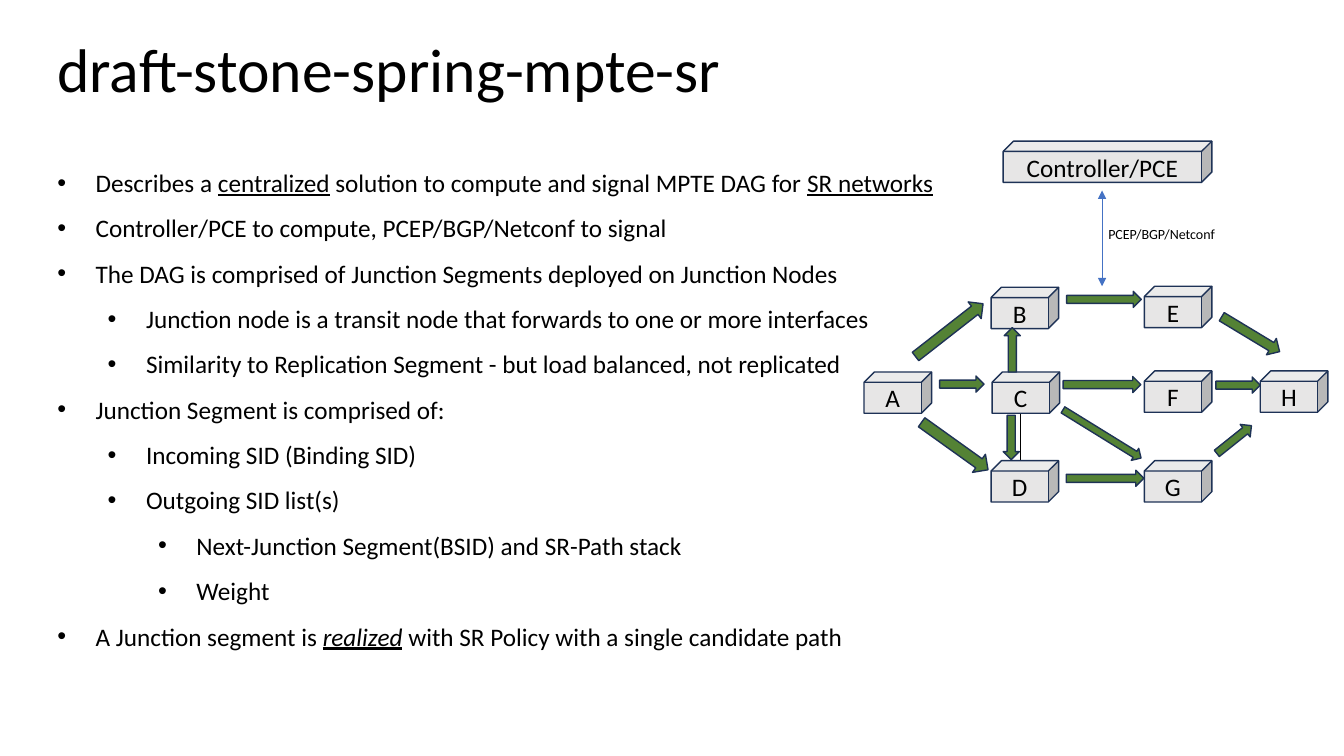
import dataclasses

import lxml.etree
import pptx
import pptx.dml.color
import pptx.enum.shapes
import pptx.enum.text
import pptx.oxml.ns
import pptx.util

PX = 9144
SHAPES = pptx.enum.shapes.MSO_SHAPE
ALIGN = pptx.enum.text.PP_ALIGN
ANCHOR = pptx.enum.text.MSO_ANCHOR
AUTO = pptx.enum.text.MSO_AUTO_SIZE


@dataclasses.dataclass(frozen=True)
class Theme:
    font: str = "Calibri"
    bullet_font: str = "Arial"
    text: str = "000000"
    node: str = "E7E6E6"
    arrow: str = "548235"
    outline: str = "1E3256"
    signal: str = "4472C4"
    title_pt: int = 44
    body_pt: int = 18
    label_pt: int = 10
    outline_pt: float = 1
    thin_pt: float = 0.5


def px(*lengths):
    return [pptx.util.Emu(n * PX) for n in lengths]


def rgb(color):
    return pptx.dml.color.RGBColor.from_string(color)


def add_xml(parent, tag, **attrs):
    return lxml.etree.SubElement(parent, pptx.oxml.ns.qn(tag), attrs)


class Deck:
    """Draws themed elements on the current slide, with lengths in px."""

    def __init__(self, theme):
        self.theme = theme
        self.prs = pptx.Presentation()
        self.prs.slide_width, self.prs.slide_height = px(1333, 750)
        self.slide = self.prs.slides.add_slide(self.prs.slide_layouts[6])

    def style(self, p, size, align=None, spacing=None):
        p.alignment = align
        p.line_spacing = spacing
        p.font.name = self.theme.font
        p.font.size = pptx.util.Pt(size)
        p.font.color.rgb = rgb(self.theme.text)

    def frame(self, box, anchor, grow):
        tf = self.slide.shapes.add_textbox(*px(*box)).text_frame
        tf.word_wrap = True
        tf.vertical_anchor = anchor
        tf.auto_size = AUTO.SHAPE_TO_FIT_TEXT if grow else AUTO.NONE
        return tf

    def text(self, box, text, size, anchor=ANCHOR.TOP, align=None,
             spacing=None, grow=False):
        p = self.frame(box, anchor, grow).paragraphs[0]
        p.text = text
        self.style(p, size, align, spacing)

    def bullets(self, box, items):
        tf = self.frame(box, ANCHOR.TOP, True)
        for i, (level, runs) in enumerate(items):
            p = tf.add_paragraph() if i else tf.paragraphs[0]
            p.level = level
            left, hang = px(38 + 50 * level, -38)
            pPr = p._p.get_or_add_pPr()
            pPr.set("marL", str(left))
            pPr.set("indent", str(hang))
            add_xml(pPr, "a:buFont", typeface=self.theme.bullet_font)
            add_xml(pPr, "a:buChar", char="•")
            self.style(p, self.theme.body_pt, spacing=1.5)
            for text, marks in runs:
                r = p.add_run()
                r.text = text
                if "u" in marks:
                    r.font.underline = True
                if "i" in marks:
                    r.font.italic = True

    def shape(self, kind, box, fill):
        sp = self.slide.shapes.add_shape(kind, *px(*box))
        sp.shadow.inherit = False
        sp.fill.solid()
        sp.fill.fore_color.rgb = rgb(fill)
        sp.line.color.rgb = rgb(self.theme.outline)
        sp.line.width = pptx.util.Pt(self.theme.outline_pt)
        return sp

    def node(self, name, box):
        tf = self.shape(SHAPES.CUBE, box, self.theme.node).text_frame
        tf.word_wrap = True
        tf.vertical_anchor = ANCHOR.MIDDLE
        p = tf.paragraphs[0]
        p.text = name
        self.style(p, self.theme.body_pt, ALIGN.CENTER)

    def arrow(self, box, rotation):
        self.shape(SHAPES.DOWN_ARROW, box, self.theme.arrow).rotation = rotation

    def line(self, ends, color, heads=False):
        cxn = self.slide.shapes.add_connector(
            pptx.enum.shapes.MSO_CONNECTOR.STRAIGHT, *px(*ends))
        cxn.line.color.rgb = rgb(color)
        cxn.line.width = pptx.util.Pt(self.theme.thin_pt)
        spPr = cxn.element.spPr
        if heads:
            ln = spPr.find(pptx.oxml.ns.qn("a:ln"))
            for tag in ("a:headEnd", "a:tailEnd"):
                add_xml(ln, tag, type="triangle")
        add_xml(spPr, "a:effectLst")


NODES = {
    "B": (983, 285), "C": (984, 369), "A": (857, 369), "D": (983, 457),
    "G": (1135, 457), "E": (1135, 284), "F": (1135, 368), "H": (1250, 368),
}

ARROWS = [
    ((1085, 343, 16, 77), 270),
    ((1220, 360, 16, 44), 270),
    ((946, 359, 16, 44), 270),
    ((931, 285, 21, 85), 232),
    ((1087, 260, 16, 74), 270),
    ((1231, 298, 19, 67), 301.1),
    ((1088, 436, 16, 77), 270),
    ((1216, 414, 16, 44), 231.3),
    ((936, 402, 22, 81), 305.6),
    ((995, 412, 16, 44), 0),
    ((1086, 385, 14, 91), 301.7),
    ((996, 325, 16, 44), 180),
]

BULLETS = [
    (0, [("Describes a ", ""), ("centralized", "u"),
         (" solution to compute and signal MPTE DAG for ", ""),
         ("SR networks", "u")]),
    (0, [("Controller/PCE to compute, PCEP/BGP/Netconf to signal", "")]),
    (0, [("The DAG is comprised of Junction Segments deployed on Junction Nodes", "")]),
    (1, [("Junction node is a transit node that forwards to one or more interfaces", "")]),
    (1, [("Similarity to Replication Segment - but load balanced, not replicated", "")]),
    (0, [("Junction Segment is comprised of:", "")]),
    (1, [("Incoming SID (Binding SID)", "")]),
    (1, [("Outgoing SID list(s)", "")]),
    (2, [("Next-Junction Segment(BSID) and SR-Path stack", "")]),
    (2, [("Weight", "")]),
    (0, [("A Junction segment is ", ""), ("realized", "iu"),
         (" with SR Policy with a single candidate path", "")]),
]


def main():
    theme = Theme()
    deck = Deck(theme)
    deck.text((47, -1, 1150, 145), "draft-stone-spring-mpte-sr",
              theme.title_pt, anchor=ANCHOR.MIDDLE, spacing=0.9)
    deck.line((1012, 409, 1012, 468), theme.text)
    for name, (left, top) in NODES.items():
        deck.node(name, (left, top, 67, 41))
    for box, rotation in ARROWS:
        deck.arrow(box, rotation)
    deck.bullets((47, 146, 1028, 551), BULLETS)
    deck.node("Controller/PCE", (995, 140, 207, 41))
    deck.line((1093, 189, 1093, 284), theme.signal, heads=True)
    deck.text((1083, 219, 138, 27), "PCEP/BGP/Netconf", theme.label_pt,
              align=ALIGN.CENTER, grow=True)
    deck.prs.save("out.pptx")


if __name__ == "__main__":
    main()
